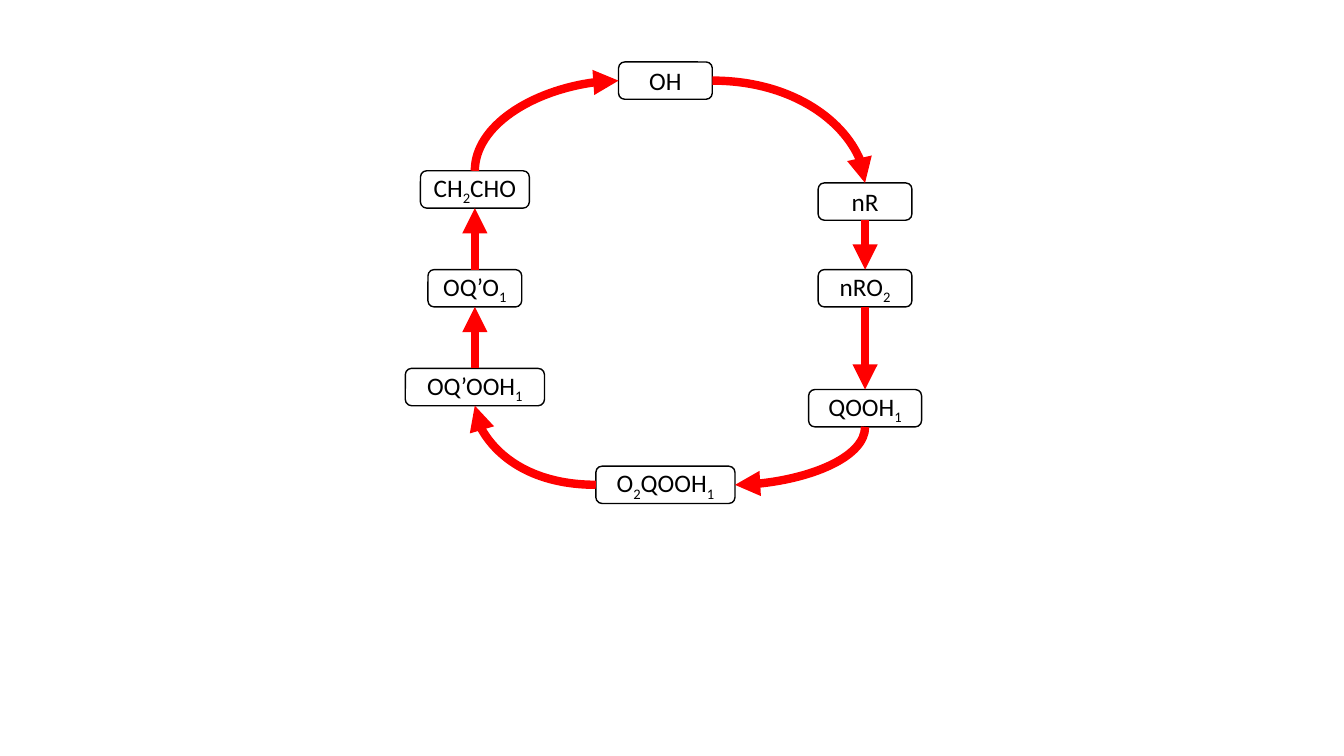
from dataclasses import dataclass
from itertools import groupby
from pptx import Presentation
from pptx.dml.color import RGBColor as RGB
from pptx.enum.shapes import MSO_CONNECTOR as LINK, MSO_SHAPE as SHAPE
from pptx.enum.text import MSO_ANCHOR as ANCHOR, PP_ALIGN as ALIGN
from pptx.oxml.ns import qn
from pptx.util import Inches, Pt
from lxml.etree import SubElement as add_sub


@dataclass(frozen=True)
class Theme:
    ink: RGB = RGB(0, 0, 0)
    paper: RGB = RGB(255, 255, 255)
    flow: RGB = RGB(255, 0, 0)
    font: str = "Calibri"
    size: float = 18
    edge: float = 1
    arrow: float = 6


THEME = Theme()
TOP, LEFT, BOTTOM, RIGHT = range(4)
TALL = 0.37
WEST, MID, EAST = 0.68, 2.57, 4.55
ROW, STEP = 2.25, 0.98

NODES = [
    ("OH", MID, 0.19, 0.93),
    ("nR", EAST, 1.39, 0.93),
    ("nRO2", EAST, ROW, 0.93),
    ("QOOH1", EAST, 3.44, 1.12),
    ("O2QOOH1", MID, 4.2, 1.38),
    ("OQ’OOH1", WEST, ROW + STEP, 1.38),
    ("OQ’O1", WEST, ROW, 0.93),
    ("CH2CHO", WEST, ROW - STEP, 1.08),
]
SITES = [
    (RIGHT, TOP), (BOTTOM, TOP), (BOTTOM, TOP), (BOTTOM, RIGHT),
    (LEFT, BOTTOM), (TOP, BOTTOM), (TOP, BOTTOM), (TOP, LEFT),
]


def write(frame, text, size=THEME.size, color=THEME.ink, align=ALIGN.CENTER):
    frame.word_wrap = False
    frame.vertical_anchor = ANCHOR.MIDDLE
    frame.margin_top = frame.margin_bottom = 0
    line = frame.paragraphs[0]
    line.alignment = align
    for low, part in groupby(text, str.isdigit):
        run = line.add_run()
        run.text = "".join(part)
        run.font.name, run.font.size = THEME.font, Pt(size)
        run.font.color.rgb = color
        if low:
            run.font._element.set("baseline", "-25000")


def add_node(slide, text, x, y, wide):
    node = slide.shapes.add_shape(
        SHAPE.ROUNDED_RECTANGLE, Inches(x - wide / 2), Inches(y - TALL / 2),
        Inches(wide), Inches(TALL))
    node.shadow.inherit = False
    node.fill.solid()
    node.fill.fore_color.rgb = THEME.paper
    node.line.color.rgb = THEME.ink
    node.line.width = Pt(THEME.edge)
    write(node.text_frame, text)
    return node


def bend(link, start):
    props = link._element.spPr
    props.find(qn("a:prstGeom")).set("prst", "curvedConnector2")
    if start in (LEFT, RIGHT):
        return
    down = link.end_y > link.begin_y
    x, y, wide, tall = link.left, link.top, link.width, link.height
    shift = (wide - tall) // 2
    link.left, link.top = x + shift, y - shift
    link.width, link.height = tall, wide
    frame = props.find(qn("a:xfrm"))
    for flip in ("flipH", "flipV"):
        frame.attrib.pop(flip, None)
    frame.set("rot", str((90 if down else 270) * 60000))


def add_link(slide, tail, head, start, end):
    curved = {start, end} != {TOP, BOTTOM}
    link = slide.shapes.add_connector(
        LINK.CURVE if curved else LINK.STRAIGHT, 0, 0, 0, 0)
    link.begin_connect(tail, start)
    link.end_connect(head, end)
    if curved:
        bend(link, start)
    link.line.color.rgb = THEME.flow
    link.line.width = Pt(THEME.arrow)
    add_sub(link.line._get_or_add_ln(), qn("a:tailEnd"), type="triangle")
    add_sub(link._element.spPr, qn("a:effectLst"))


def add_cycle(slide, x, y):
    ring = [add_node(slide, text, x + dx, y + dy, wide)
            for text, dx, dy, wide in NODES]
    for tail, head, sites in zip(ring, ring[1:] + ring[:1], SITES):
        add_link(slide, tail, head, *sites)


deck = Presentation()
deck.slide_width, deck.slide_height = Inches(13.33), Inches(7.5)
slide = deck.slides.add_slide(deck.slide_layouts[6])
add_cycle(slide, 4.03, 0.61)
deck.save("out.pptx")
